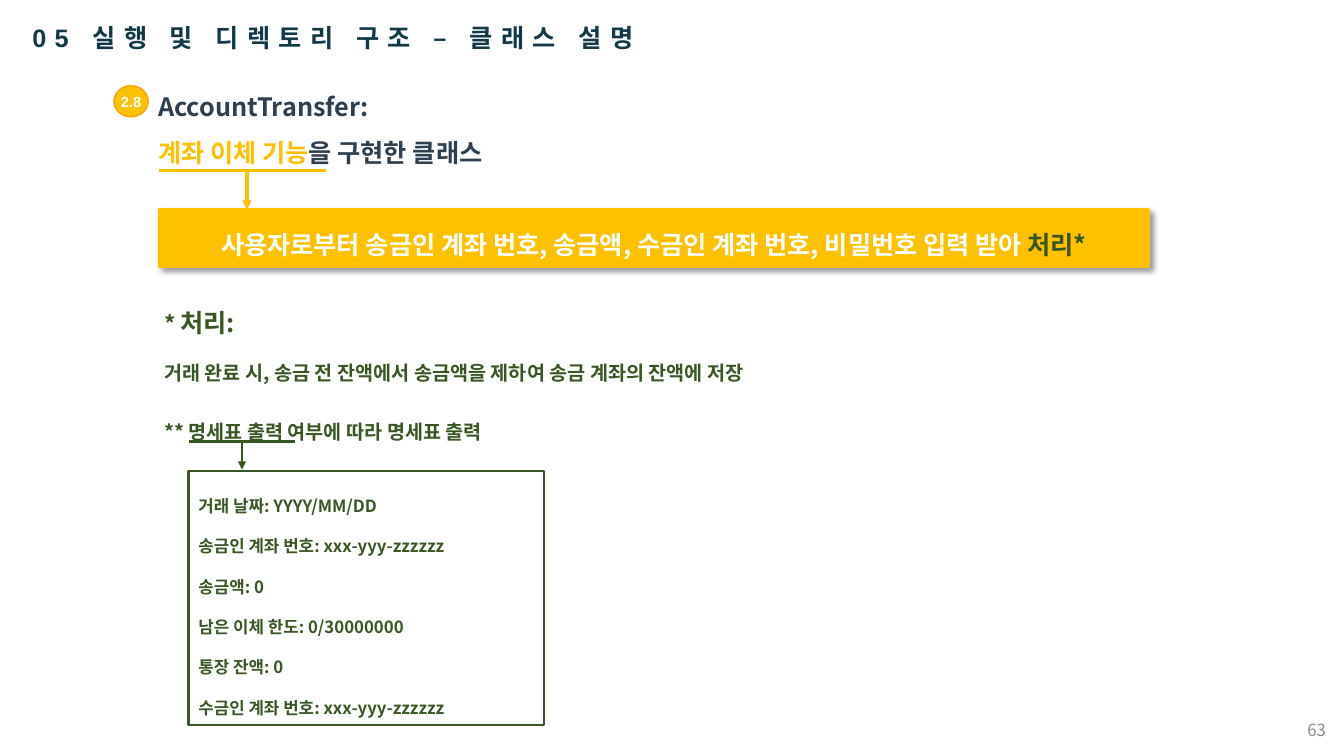
"""Build the slide that explains the AccountTransfer class."""
from dataclasses import dataclass

from lxml import etree
from pptx import Presentation
from pptx.dml.color import RGBColor
from pptx.enum.shapes import MSO_CONNECTOR, MSO_SHAPE
from pptx.enum.text import MSO_ANCHOR, MSO_AUTO_SIZE, PP_ALIGN
from pptx.oxml.ns import qn
from pptx.util import Inches, Pt

RECT, OVAL = MSO_SHAPE.RECTANGLE, MSO_SHAPE.OVAL
LINE = MSO_CONNECTOR.STRAIGHT
TOP, MIDDLE = MSO_ANCHOR.TOP, MSO_ANCHOR.MIDDLE
LEFT, CENTER, RIGHT = PP_ALIGN.LEFT, PP_ALIGN.CENTER, PP_ALIGN.RIGHT
FIXED = MSO_AUTO_SIZE.NONE


@dataclass(frozen=True)
class Theme:
    sans: str = "Noto Sans CJK KR"
    arial: str = "Arial"
    gold: str = "FFC000"
    amber: str = "FBA305"
    green: str = "385723"
    slate: str = "2E3F4F"
    navy: str = "113947"
    gray: str = "8C8C8C"
    white: str = "FFFFFF"
    black: str = "000000"
    head: float = 18
    star: float = 16
    body: float = 14
    small: float = 12
    badge: float = 10.5


T = Theme()


def rgb(code):
    return RGBColor.from_string(code)


def style(font, size, color, face=T.sans, bold=True):
    font.size, font.bold, font.name = Pt(size), bold, face
    font.color.rgb = rgb(color)
    east = etree.SubElement(font._rPr, qn("a:ea"))
    east.set("typeface", T.sans)


def place(shape, left, top, width, height):
    shape.left, shape.top = Inches(left), Inches(top)
    shape.width, shape.height = Inches(width), Inches(height)


def write(shape, rows, space=1, align=LEFT, anchor=TOP, face=T.sans, bold=True):
    """Fill a shape with rows, each a list of (text, size, color) parts."""
    frame = shape.text_frame
    frame.word_wrap, frame.auto_size = True, FIXED
    frame.vertical_anchor = anchor
    for i, parts in enumerate(rows):
        para = frame.add_paragraph() if i else frame.paragraphs[0]
        para.alignment, para.line_spacing = align, space
        same = len({part[1:] for part in parts}) == 1
        if same:
            style(para.font, *parts[0][1:], face, bold)
        for text, size, color in parts:
            run = para.add_run()
            run.text = text
            if not same:
                style(run.font, size, color, face, bold)
    return frame


def label(slide, box, rows, **look):
    shape = slide.shapes.add_textbox(*map(Inches, box))
    return write(shape, rows, **look)


def panel(slide, kind, box, fill, edge, width):
    shape = slide.shapes.add_shape(kind, *map(Inches, box))
    shape.shadow.inherit = False
    shape.fill.solid()
    shape.fill.fore_color.rgb = rgb(fill)
    shape.line.color.rgb = rgb(edge)
    shape.line.width = Pt(width)
    return shape


def shade(shape):
    effects = shape._element.spPr.find(qn("a:effectLst"))
    outer = etree.SubElement(effects, qn("a:outerShdw"), blurRad=str(Pt(4)),
                             dist=str(Pt(3)), dir="2700000", algn="tl")
    tint = etree.SubElement(outer, qn("a:srgbClr"), val=T.black)
    etree.SubElement(tint, qn("a:alpha"), val="40000")


def rule(slide, start, end, color, width, arrow=False):
    line = slide.shapes.add_connector(LINE, *map(Inches, start + end))
    line.line.color.rgb = rgb(color)
    line.line.width = Pt(width)
    props = line._element.spPr
    if arrow:
        etree.SubElement(props.find(qn("a:ln")), qn("a:tailEnd"), type="triangle")
    etree.SubElement(props, qn("a:effectLst"))


def callout(slide, left, right, stem, top, bottom, color, width):
    """Draw an underline with an arrow that leads down from it."""
    rule(slide, (left, top), (right, top), color, width)
    rule(slide, (stem, top), (stem, bottom), color, width, arrow=True)


def heading(slide, text):
    title = slide.shapes.title
    place(title, 0.22, 0.17, 9.09, 0.4)
    frame = write(title, [[(text, T.head, T.navy)]], face=T.arial)
    for run in frame.paragraphs[0].runs:
        run.font._rPr.set("spc", "600")


def main():
    deck = Presentation()
    deck.slide_width, deck.slide_height = Inches(13.33), Inches(7.5)
    slide = deck.slides.add_slide(deck.slide_layouts[5])
    heading(slide, "05 실행 및 디렉토리 구조 – 클래스 설명")

    badge = panel(slide, OVAL, (1.13, 0.85, 0.34, 0.31), T.gold, T.amber, 1)
    frame = write(badge, [[("2.8", T.badge, T.white)]], align=CENTER,
                  anchor=MIDDLE, face=T.arial)
    frame.margin_left = frame.margin_right = 0
    frame.margin_top = frame.margin_bottom = 0

    label(slide, (1.47, 0.71, 4.24, 1.01), [
        [("AccountTransfer:", T.head, T.slate)],
        [("계좌 이체 기능", T.head, T.gold),
         ("을 구현한 클래스", T.head, T.slate)],
    ], space=1.5)
    callout(slide, 1.58, 3.23, 2.45, 1.69, 2.08, T.gold, 2.25)

    banner = panel(slide, RECT, (1.58, 2.08, 9.81, 0.56), T.gold, T.gold, 2.25)
    shade(banner)
    write(banner, [[
        ("사용자로부터 송금인 계좌 번호, 송금액, 수금인 계좌 번호, 비밀번호 입력 받아 ",
         T.head, T.white),
        ("처리*", T.head, T.green),
    ]], space=1.5, align=CENTER)

    notes = label(slide, (1.53, 2.7, 11.02, 1.77), [
        [("* ", T.star, T.green), ("처리:", T.head, T.green)],
        [("거래 완료 시, 송금 전 잔액에서 송금액을 제하여 송금 계좌의 잔액에 저장",
          T.body, T.green)],
        [("** 명세표 출력 여부에 따라 명세표 출력", T.body, T.green)],
    ], space=2)
    notes.paragraphs[-1].space_before = Pt(8.4)

    slip = panel(slide, RECT, (1.87, 4.67, 3.53, 2.52), T.white, T.green, 1.5)
    items = ("거래 날짜: YYYY/MM/DD", "송금인 계좌 번호: xxx-yyy-zzzzzz", "송금액: 0",
             "남은 이체 한도: 0/30000000", "통장 잔액: 0",
             "수금인 계좌 번호: xxx-yyy-zzzzzz")
    write(slip, [[(item, T.small, T.green)] for item in items], space=2)
    callout(slide, 1.87, 2.93, 2.4, 4.38, 4.66, T.green, 1.5)

    label(slide, (10.25, 7.04, 3, 0.4), [[("63", T.small, T.gray)]],
          align=RIGHT, anchor=MIDDLE, bold=False)
    deck.save("out.pptx")


if __name__ == "__main__":
    main()
